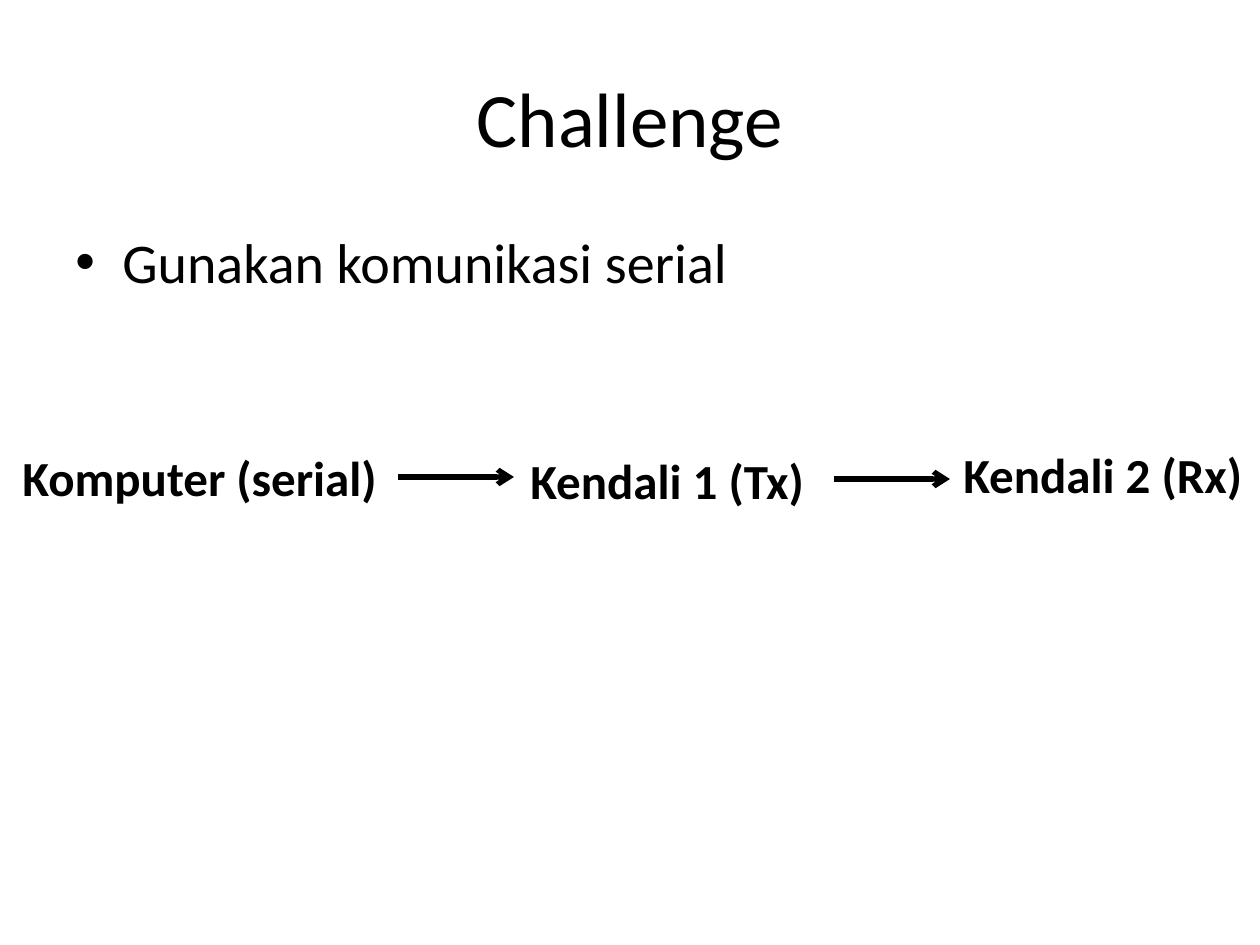
from pptx import Presentation
from pptx.dml.color import RGBColor
from pptx.enum.shapes import MSO_CONNECTOR
from pptx.enum.text import MSO_ANCHOR, MSO_AUTO_SIZE, PP_ALIGN
from pptx.oxml.ns import qn
from pptx.util import Emu, Pt
from lxml import etree

STRAIGHT = MSO_CONNECTOR.STRAIGHT
MIDDLE = MSO_ANCHOR.MIDDLE
CENTER = PP_ALIGN.CENTER
GROW = MSO_AUTO_SIZE.SHAPE_TO_FIT_TEXT
FONT = "Calibri"
COLORS = {"ink": "000000", "paper": "FFFFFF"}


def px(n):
    return Emu(round(n * 914400 / 126))


def color(name):
    return RGBColor.from_string(COLORS[name])


def write(frame, text, size, bold=False):
    para = frame.paragraphs[0]
    para.text = text
    font = para.font
    font.name, font.size, font.bold = FONT, Pt(size), bold
    font.color.rgb = color("ink")
    return para


def add_text(slide, box, text, size, bold=False, wrap=True):
    shape = slide.shapes.add_textbox(*map(px, box))
    shape.text_frame.word_wrap = wrap
    return shape.text_frame, write(shape.text_frame, text, size, bold)


def add_title(slide, box, text):
    title = slide.shapes.title
    title.left, title.top, title.width, title.height = map(px, box)
    title.text_frame.vertical_anchor = MIDDLE
    write(title.text_frame, text, 44).alignment = CENTER


def add_body(slide, box, text):
    para = add_text(slide, box, text, 32)[1]
    props = para._p.get_or_add_pPr()
    props.set("marL", str(px(47)))
    props.set("indent", str(-px(47)))
    space = etree.SubElement(props, qn("a:spcBef"))
    etree.SubElement(space, qn("a:spcPct"), val="20000")
    etree.SubElement(props, qn("a:buFont"), typeface="Arial")
    etree.SubElement(props, qn("a:buChar"), char="•")
    props.append(props.find(qn("a:defRPr")))


def add_arrow(slide, x, y, width):
    arrow = slide.shapes.add_connector(STRAIGHT, px(x), px(y), px(x + width), px(y))
    arrow.line.color.rgb = color("ink")
    arrow.line.width = Pt(3)
    etree.SubElement(arrow.line._get_or_add_ln(), qn("a:tailEnd"), type="arrow")
    etree.SubElement(arrow._element.spPr, qn("a:effectLst"))


def add_flow(slide, box):
    left, top, width, height = box
    nodes = [
        ("Komputer (serial)", 0, 3, 451, True),
        ("Kendali 1 (Tx)", 508, 6, 323, True),
        ("Kendali 2 (Rx)", 941, 0, width - 941, False),
    ]
    for text, x, y, wide, wrap in nodes:
        area = (left + x, top + y, wide, height)
        frame = add_text(slide, area, text, 28, True, wrap)[0]
        frame.auto_size = GROW
    for x, y in [(388, 39), (824, 41)]:
        add_arrow(slide, left + x, top + y, 116)


def main():
    deck = Presentation()
    deck.slide_width, deck.slide_height = px(1260), px(945)
    slide = deck.slides.add_slide(deck.slide_layouts[5])
    slide.background.fill.solid()
    slide.background.fill.fore_color.rgb = color("paper")
    add_title(slide, (63, 38, 1134, 158), "Challenge")
    add_body(slide, (63, 221, 1134, 624), "Gunakan komunikasi serial")
    add_flow(slide, (10, 438, 1261, 72))
    deck.save("out.pptx")


if __name__ == "__main__":
    main()
